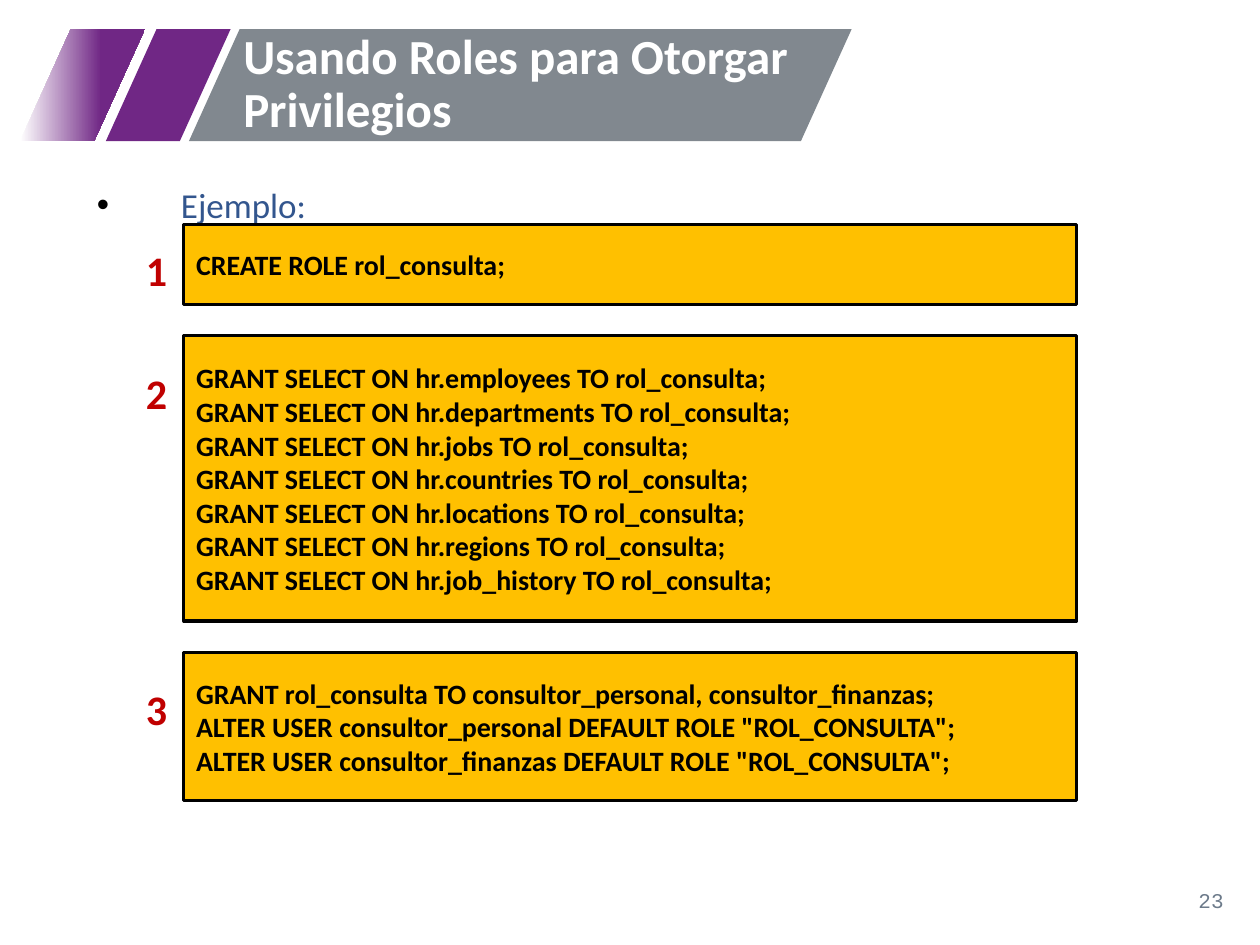
from dataclasses import dataclass

from lxml.etree import SubElement
from pptx import Presentation
from pptx.dml.color import RGBColor
from pptx.enum.shapes import MSO_SHAPE
from pptx.enum.text import MSO_ANCHOR, MSO_AUTO_SIZE, PP_ALIGN
from pptx.oxml.ns import qn
from pptx.util import Pt

COLORS = {
    "white": "FFFFFF",
    "black": "000000",
    "purple": "702785",
    "gray": "81888F",
    "amber": "FFC000",
    "red": "C00000",
    "blue": "33568E",
    "page": "6C7A8A",
}
BANNER_TOP, BANNER_HEIGHT = 16.6, 64
CODE_LEFT, CODE_WIDTH, CODE_TOP = 105, 510.3, 128.2
CODE_LINE, CODE_PADDING, CODE_GAP = 19.5, 26.5, 17.7
STEP_LEFT, STEP_WIDTH, STEP_HEIGHT = 76.3, 26.6, 36


@dataclass
class Band:
    left: float
    width: float
    color: str
    fades_in: bool = False


@dataclass
class Step:
    number_offset: float
    statements: list[str]


BANDS = [
    Band(60.5, 71.3, "purple"),
    Band(11.5, 71.3, "purple", fades_in=True),
    Band(108, 378.7, "gray"),
]
TABLES = ["employees", "departments", "jobs", "countries",
          "locations", "regions", "job_history"]
STEPS = [
    Step(7.9, ["CREATE ROLE rol_consulta;"]),
    Step(14.4, [f"GRANT SELECT ON hr.{table} TO rol_consulta;" for table in TABLES]),
    Step(14.4, [
        "GRANT rol_consulta TO consultor_personal, consultor_finanzas;",
        'ALTER USER consultor_personal DEFAULT ROLE "ROL_CONSULTA";',
        'ALTER USER consultor_finanzas DEFAULT ROLE "ROL_CONSULTA";',
    ]),
]


def rgb(name: str) -> RGBColor:
    return RGBColor.from_string(COLORS[name])


def place(shape, left: float, top: float, width: float, height: float) -> None:
    shape.left, shape.top = Pt(left), Pt(top)
    shape.width, shape.height = Pt(width), Pt(height)


def style(paragraph, size: float, color: str, bold: bool = False,
          face: str = "Calibri", align=PP_ALIGN.LEFT) -> None:
    paragraph.alignment = align
    font = paragraph.font
    font.name, font.size, font.bold = face, Pt(size), bold
    font.color.rgb = rgb(color)


def add_band(slide, band: Band) -> None:
    shape = slide.shapes.add_shape(
        MSO_SHAPE.PARALLELOGRAM, Pt(band.left), Pt(BANNER_TOP),
        Pt(band.width), Pt(BANNER_HEIGHT))
    shape.adjustments[0] = 0.453
    shape.shadow.inherit = False
    shape.line.fill.background()
    if band.fades_in:
        shape.fill.gradient()
        shape.fill.gradient_angle = 0
        start, end = shape.fill.gradient_stops
        start.color.rgb, start.position = rgb("white"), 0
        end.color.rgb, end.position = rgb(band.color), 0.65
    else:
        shape.fill.solid()
        shape.fill.fore_color.rgb = rgb(band.color)


def add_label(slide, text: str, left: float, top: float, width: float,
              height: float, **look) -> None:
    label = slide.shapes.add_textbox(Pt(left), Pt(top), Pt(width), Pt(height))
    label.text_frame.text = text
    style(label.text_frame.paragraphs[0], **look)


def add_code_box(slide, top: float, height: float, statements: list[str]) -> None:
    box = slide.shapes.add_shape(
        MSO_SHAPE.RECTANGLE, Pt(CODE_LEFT), Pt(top), Pt(CODE_WIDTH), Pt(height))
    box.shadow.inherit = False
    box.fill.solid()
    box.fill.fore_color.rgb = rgb("amber")
    box.line.color.rgb = rgb("black")
    box.line.width = Pt(1.75)
    frame = box.text_frame
    frame.word_wrap = True
    frame.vertical_anchor = MSO_ANCHOR.MIDDLE
    frame.text = "\n".join(statements)
    for paragraph in frame.paragraphs:
        style(paragraph, 16, "black", bold=True)


def add_bullet(paragraph, indent: float, color: str) -> None:
    properties = paragraph._p.get_or_add_pPr()
    properties.set("marL", str(Pt(indent)))
    properties.set("indent", str(-Pt(indent)))
    bullet_color = SubElement(properties, qn("a:buClr"))
    SubElement(bullet_color, qn("a:srgbClr"), val=COLORS[color])
    SubElement(properties, qn("a:buChar"), char="•")


def fill_title(slide) -> None:
    title = slide.shapes.title
    title._element.getparent().append(title._element)  # in front of the bands
    place(title, 131.8, BANNER_TOP, 337.7, BANNER_HEIGHT)
    frame = title.text_frame
    frame.text = "Usando Roles para Otorgar Privilegios"
    frame.word_wrap = True
    frame.auto_size = MSO_AUTO_SIZE.NONE
    frame.vertical_anchor = MSO_ANCHOR.MIDDLE
    frame.paragraphs[0].line_spacing = 0.9
    style(frame.paragraphs[0], 28, "white", bold=True)


def fill_body(slide) -> None:
    body = slide.placeholders[1]
    place(body, 48.2, 105.8, 648, 356.4)
    frame = body.text_frame
    frame.text = "Ejemplo:"
    frame.auto_size = MSO_AUTO_SIZE.NONE
    frame.vertical_anchor = MSO_ANCHOR.TOP
    example = frame.paragraphs[0]
    add_bullet(example, 48, "black")
    example.line_spacing = 0.8
    example.space_before = Pt(0)
    style(example, 20, "blue", align=PP_ALIGN.JUSTIFY)


def main() -> None:
    deck = Presentation()
    deck.slide_width, deck.slide_height = Pt(720), Pt(540)
    slide = deck.slides.add_slide(deck.slide_layouts[1])

    for band in BANDS:
        add_band(slide, band)
    fill_title(slide)
    fill_body(slide)
    add_label(slide, "23", 544.3, 503.5, 162, 22, size=12, color="page",
              face="Courier New", align=PP_ALIGN.RIGHT)

    top = CODE_TOP
    for number, step in enumerate(STEPS, start=1):
        height = CODE_PADDING + CODE_LINE * len(step.statements)
        add_code_box(slide, top, height, step.statements)
        add_label(slide, str(number), STEP_LEFT, top + step.number_offset,
                  STEP_WIDTH, STEP_HEIGHT, size=24, color="red", bold=True)
        top += height + CODE_GAP

    deck.save("out.pptx")


if __name__ == "__main__":
    main()
